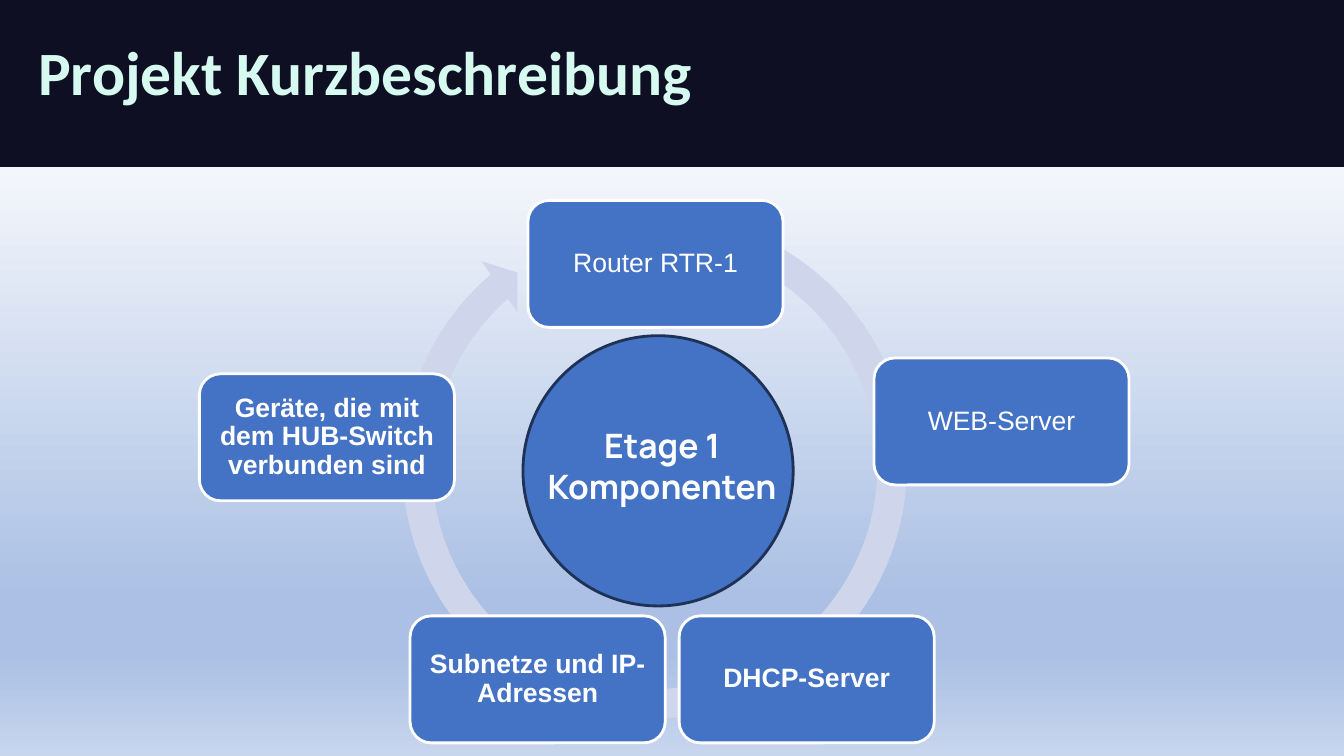
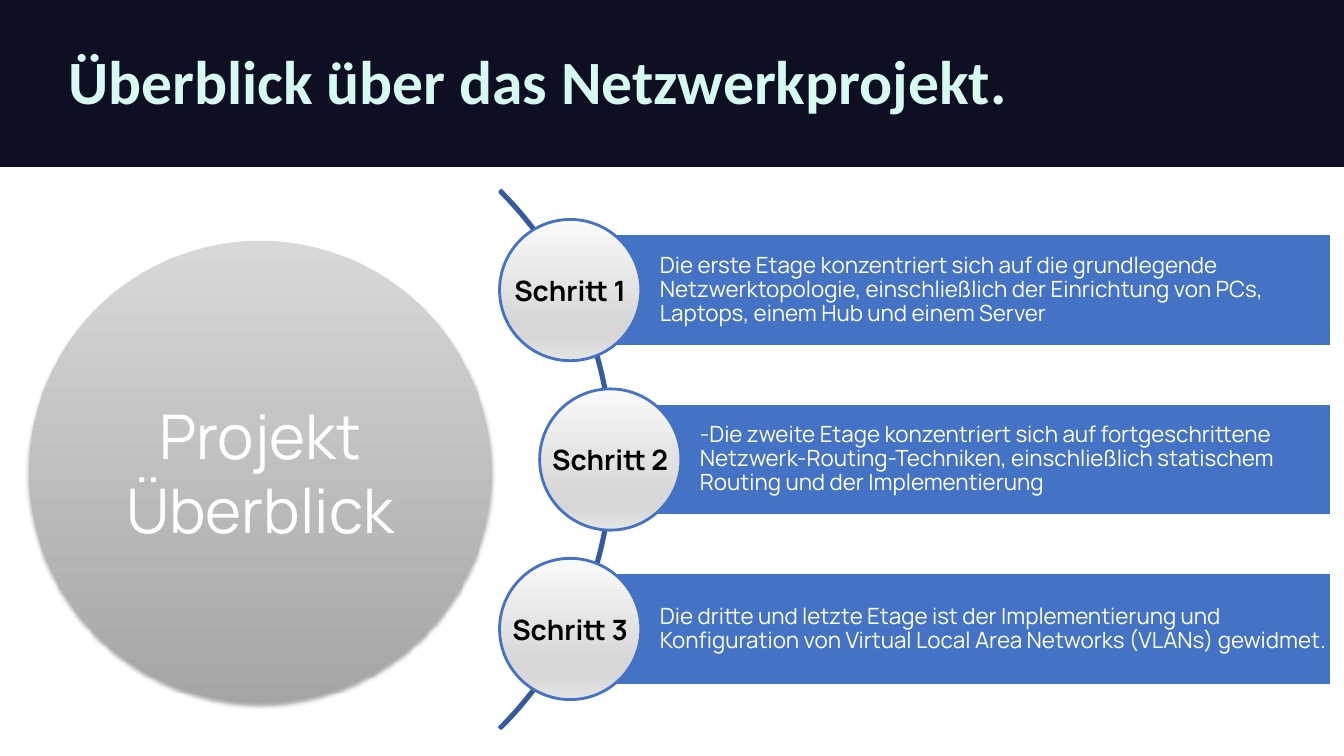
from math import sqrt
from pptx import Presentation
from pptx.dml.color import RGBColor
from pptx.enum.shapes import MSO_SHAPE
from pptx.enum.text import MSO_ANCHOR, PP_ALIGN
from pptx.oxml import parse_xml
from pptx.oxml.ns import nsdecls, qn
from pptx.util import Cm, Pt

# Content
COMPONENTS = [  # text, bold, centre x, centre y (cm)
    ("Router RTR-1", False, 16.52, 6.65),
    ("WEB-Server", False, 25.24, 10.62),
    ("DHCP-Server", True, 20.33, 17.12),
    ("Subnetze und IP-Adressen", True, 13.55, 17.12),
    ("Geräte, die mit dem HUB-Switch verbunden sind", True, 8.24, 11.02),
]
STEPS = [
    ("Schritt 1", "Die erste Etage konzentriert sich auf die grundlegende "
     "Netzwerktopologie, einschließlich der Einrichtung von PCs, Laptops, "
     "einem Hub und einem Server"),
    ("Schritt 2", "-Die zweite Etage konzentriert sich auf fortgeschrittene "
     "Netzwerk-Routing-Techniken, einschließlich statischem Routing und der "
     "Implementierung"),
    ("Schritt 3", "Die dritte und letzte Etage ist der Implementierung und "
     "Konfiguration von Virtual Local Area Networks (VLANs) gewidmet."),
]

# Shared look
COLORS = dict(band="0F0F23", title="D7FAF0", blue="4472C4", white="FFFFFF",
              black="000000", cycle="CFD5EA", edge="1E3256", arc="365B9D")
SKY = [(0, "F6F8FC"), (74, "ABC0E4"), (83, "ABC0E4"), (100, "C7D5ED")]
SILVER = [(0, "FAFAFA"), (74, "D7D7D7"), (83, "D7D7D7"), (100, "E4E4E4")]
GREY = [(0, "D8D8D8"), (100, "A5A5A5")]
TITLE = dict(name="Calibri", size=Pt(44), bold=True)
BOX = dict(name="Arial", size=Pt(19))
HUB = dict(name="Manrope", size=Pt(24), bold=True)
STEP = dict(name="Manrope", size=Pt(20), bold=True)
BAR = dict(name="Manrope", size=Pt(16), bold=False)
OVERVIEW = dict(name="Manrope", size=Pt(44), bold=False)
SLIDE_W, SLIDE_H, BAND_H = 33.87, 19.05, 4.21

prs = Presentation()
prs.slide_width, prs.slide_height = Cm(SLIDE_W), Cm(SLIDE_H)


def rgb(name):
    return RGBColor.from_string(COLORS[name])


def fill_gradient(sp, stops):
    """Vertical gradient, first stop at the top."""
    sp.fill.gradient()
    old = sp._element.spPr.find(qn("a:gradFill"))
    gs = "".join(f'<a:gs pos="{pos * 1000}"><a:srgbClr val="{color}"/></a:gs>'
                 for pos, color in stops)
    old.getparent().replace(old, parse_xml(
        f'<a:gradFill {nsdecls("a")} rotWithShape="1"><a:gsLst>{gs}</a:gsLst>'
        '<a:lin ang="5400000" scaled="0"/></a:gradFill>'))


def add_shape(s, kind, x, y, w, h, fill=None, line=None, adj=()):
    sp = s.shapes.add_shape(kind, Cm(x), Cm(y), Cm(w), Cm(h))
    sp.shadow.inherit = False
    for i, value in enumerate(adj):
        sp.adjustments[i] = value
    if isinstance(fill, list):
        fill_gradient(sp, fill)
    elif fill:
        sp.fill.solid()
        sp.fill.fore_color.rgb = rgb(fill)
    else:
        sp.fill.background()
    if line:
        sp.line.color.rgb = rgb(line)
        sp.line.width = Pt(2)
    else:
        sp.line.fill.background()
    return sp


def write(sp, lines, font, color, align=PP_ALIGN.CENTER, spacing=1.0,
          anchor=MSO_ANCHOR.MIDDLE, wrap=True, insets=(0.25, 0.13, 0.25, 0.13)):
    tf = sp.text_frame
    tf.word_wrap, tf.vertical_anchor = wrap, anchor
    for side, inset in zip(("left", "top", "right", "bottom"), insets):
        setattr(tf, f"margin_{side}", Cm(inset))
    for i, line in enumerate(lines):
        p = tf.add_paragraph() if i else tf.paragraphs[0]
        p.alignment, p.line_spacing = align, spacing
        r = p.add_run()
        r.text = line
        for key, value in font.items():
            setattr(r.font, key, value)
        r.font.color.rgb = rgb(color)


def add_slide(title, x, y, h, anchor, backdrop=None):
    s = prs.slides.add_slide(prs.slide_layouts[5])
    if backdrop:
        add_shape(s, MSO_SHAPE.RECTANGLE, 0, 3.84, SLIDE_W, SLIDE_H - 3.84, backdrop)
    add_shape(s, MSO_SHAPE.RECTANGLE, 0, 0, SLIDE_W, BAND_H, "band")
    sp = s.shapes.title
    s.shapes._spTree.append(sp._element)  # bring the title in front of the band
    sp.left, sp.top, sp.width, sp.height = Cm(x), Cm(y), Cm(28.27), Cm(h)
    write(sp, [title], TITLE, "title", PP_ALIGN.LEFT, 0.9, anchor)
    return s


# Slide 1: component cycle
s = add_slide("Projekt Kurzbeschreibung", 0.71, 0.94, 2.39, MSO_ANCHOR.TOP, SKY)
add_shape(s, MSO_SHAPE.CIRCULAR_ARROW, 9.73, 4.98, 13.54, 13.54, "cycle",
          adj=(0.055, 3.307, 137.486, 174.026, 0.058))
box_w, box_h = 6.43, 3.2
for text, bold, cx, cy in COMPONENTS:
    sp = add_shape(s, MSO_SHAPE.ROUNDED_RECTANGLE, cx - box_w / 2, cy - box_h / 2,
                   box_w, box_h, "blue", "white")
    write(sp, [text], dict(BOX, bold=bold), "white", spacing=0.9, insets=(0.2,) * 4)
add_shape(s, MSO_SHAPE.OVAL, 13.18, 8.46, 6.81, 6.81, "blue", "edge")
sp = s.shapes.add_textbox(Cm(13.28), Cm(10.59), Cm(6.81), Cm(2.31))
write(sp, ["Etage 1 Komponenten"], HUB, "white", anchor=MSO_ANCHOR.TOP)

# Slide 2: steps along an arc
s = add_slide("Überblick über das Netzwerkprojekt.", 1.47, 0.28, 3.68, MSO_ANCHOR.MIDDLE)
arc_x, arc_y, arc_d = 5.85, 11.58, 19.18
add_shape(s, MSO_SHAPE.BLOCK_ARC, arc_x - arc_d / 2, arc_y - arc_d / 2, arc_d, arc_d,
          line="arc", adj=(189, 27, 0.003))
orbit, pitch, bar_h, bar_right, dot = 9.53, 4.27, 2.84, 33.55, 3.56
for i, (label, text) in enumerate(STEPS):
    dy = (i - 1) * pitch
    x, y = arc_x + sqrt(orbit ** 2 - dy ** 2), arc_y + dy
    sp = add_shape(s, MSO_SHAPE.RECTANGLE, x, y - bar_h / 2, bar_right - x, bar_h,
                   "blue", "white")
    write(sp, [text], BAR, "white", PP_ALIGN.LEFT, 0.9, insets=(2.26, 0.1, 0.1, 0.1))
    sp = add_shape(s, MSO_SHAPE.OVAL, x - dot / 2, y - dot / 2, dot, dot, SILVER, "blue")
    write(sp, [label], STEP, "black", wrap=False)

# Overview circle with a soft shadow
sp = add_shape(s, MSO_SHAPE.OVAL, 0.74, 6.07, 11.63, 11.63, GREY)
sp._element.spPr.find(qn("a:effectLst")).append(parse_xml(
    f'<a:outerShdw {nsdecls("a")} blurRad="{Pt(3.1)}" dist="{Pt(1.8)}" dir="5400000" '
    'rotWithShape="0"><a:srgbClr val="000000"><a:alpha val="35000"/></a:srgbClr>'
    '</a:outerShdw>'))
write(sp, ["Projekt", "Überblick"], OVERVIEW, "white")

prs.save("out.pptx")
